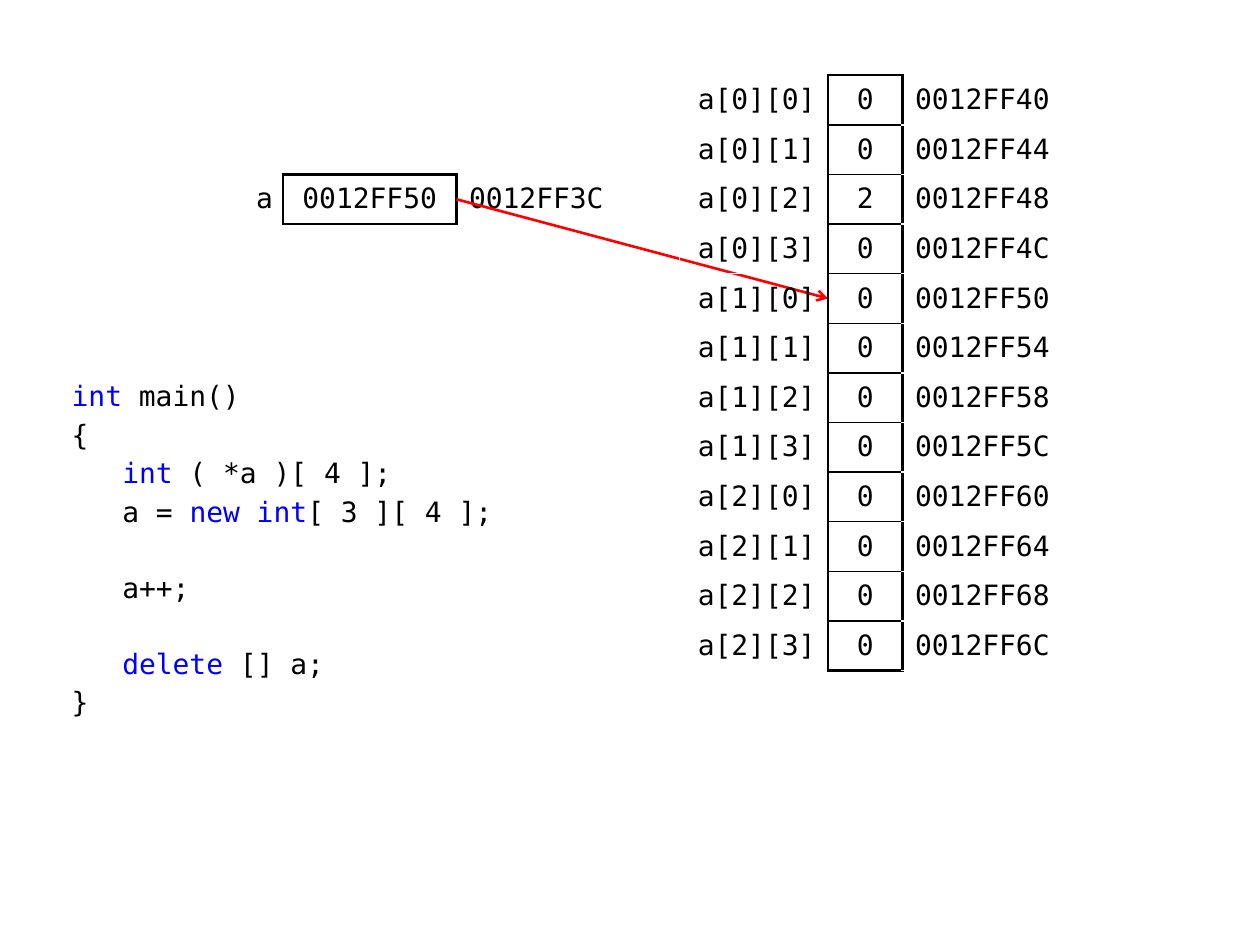
from dataclasses import dataclass

from lxml import etree
from pptx import Presentation
from pptx.dml.color import RGBColor
from pptx.enum.shapes import MSO_CONNECTOR
from pptx.enum.text import MSO_ANCHOR, PP_ALIGN
from pptx.oxml.ns import qn
from pptx.util import Pt

STRAIGHT = MSO_CONNECTOR.STRAIGHT
MIDDLE = MSO_ANCHOR.MIDDLE
LEFT, CENTER, RIGHT = PP_ALIGN.LEFT, PP_ALIGN.CENTER, PP_ALIGN.RIGHT


@dataclass(frozen=True)
class Theme:
    font: str = "DejaVu Sans Mono"
    size: float = 16
    text: str = "000000"
    keyword: str = "0000FF"
    arrow: str = "FF0000"
    outer: float = 1.5
    inner: float = 1


@dataclass(frozen=True)
class MemoryCell:
    label: str
    value: str
    address: str


@dataclass(frozen=True)
class MemoryTable:
    left: float
    top: float
    widths: tuple[float, float, float]
    label_inset: float
    cells: list[MemoryCell]

    def row_middle(self, row: int) -> float:
        return self.top + (row + 0.5) * ROW


@dataclass(frozen=True)
class CodeLine:
    tokens: list[tuple[str, bool]]  # text, is it a keyword
    indented: bool = False
    after_gap: bool = False


THEME = Theme()
ROW = 28.35
ADDRESS_WIDTH = 99.2
LINE_SPACE = 2.8
BLANK_LINE = 21.4
INDENT = 28.9  # three characters

ARRAY = MemoryTable(388.2, 43, (85, 42.55, ADDRESS_WIDTH), 7.2, [
    MemoryCell(f"a[{i // 4}][{i % 4}]", "2" if i == 2 else "0",
               f"{0x12FF40 + 4 * i:08X}")
    for i in range(12)
])
POINTER = MemoryTable(133.3, ARRAY.top + 2 * ROW,
                      (ROW, ADDRESS_WIDTH, ADDRESS_WIDTH), 5.76,
                      [MemoryCell("a", "0012FF50", "0012FF3C")])
TARGET_ROW = 4

CODE = [
    CodeLine([("int", True), (" main()", False)]),
    CodeLine([("{", False)]),
    CodeLine([("int", True), (" ( *a )[ 4 ];", False)], indented=True),
    CodeLine([("a = ", False), ("new int", True), ("[ 3 ][ 4 ];", False)],
             indented=True),
    CodeLine([("a++;", False)], indented=True, after_gap=True),
    CodeLine([("delete", True), (" [] a;", False)], indented=True,
             after_gap=True),
    CodeLine([("}", False)]),
]


def style_run(r, color: str = THEME.text) -> None:
    r.font.name = THEME.font
    r.font.size = Pt(THEME.size)
    r.font.color.rgb = RGBColor.from_string(color)


def set_borders(cell, **widths: float) -> None:
    """Draw the given sides (L, R, T, B), each with its width in points."""
    tc_pr = cell._tc.get_or_add_tcPr()
    sides = [side for side in "LRTB" if side in widths]
    for i, side in enumerate(sides):
        ln = etree.Element(qn(f"a:ln{side}"), w=str(Pt(widths[side])))
        fill = etree.SubElement(ln, qn("a:solidFill"))
        etree.SubElement(fill, qn("a:srgbClr"), val=THEME.text)
        tc_pr.insert(i, ln)


def add_memory(s, memory: MemoryTable) -> None:
    count = len(memory.cells)
    frame = s.shapes.add_table(count, 3, Pt(memory.left), Pt(memory.top),
                               Pt(sum(memory.widths)), Pt(count * ROW))
    table = frame.table
    table.first_row = table.horz_banding = False
    for column, width in zip(table.columns, memory.widths):
        column.width = Pt(width)
    for i, entry in enumerate(memory.cells):
        table.rows[i].height = Pt(ROW)
        columns = (
            (entry.label, RIGHT, 7.2, memory.label_inset, {"R": THEME.outer}),
            (entry.value, CENTER, 5.76, 5.76, {
                "L": THEME.outer,
                "R": THEME.outer,
                "T": THEME.outer if i == 0 else THEME.inner,
                "B": THEME.outer if i == count - 1 else THEME.inner,
            }),
            (entry.address, LEFT, 7.2, 5.76, {"L": THEME.outer}),
        )
        for j, (text, align, left, right, borders) in enumerate(columns):
            cell = table.cell(i, j)
            cell.fill.background()
            cell.vertical_anchor = MIDDLE
            cell.margin_left, cell.margin_right = Pt(left), Pt(right)
            cell.margin_top = cell.margin_bottom = Pt(2.88)
            cell.text_frame.text = text
            p = cell.text_frame.paragraphs[0]
            p.alignment = align
            style_run(p.runs[0])
            set_borders(cell, **borders)


def add_pointer_arrow(s) -> None:
    line = s.shapes.add_connector(
        STRAIGHT,
        Pt(POINTER.left + sum(POINTER.widths[:2])), Pt(POINTER.row_middle(0)),
        Pt(ARRAY.left + ARRAY.widths[0]), Pt(ARRAY.row_middle(TARGET_ROW)))
    line.line.color.rgb = RGBColor.from_string(THEME.arrow)
    line.line.width = Pt(THEME.outer)
    sp_pr = line._element.spPr
    etree.SubElement(sp_pr.find(qn("a:ln")), qn("a:tailEnd"), type="arrow")
    etree.SubElement(sp_pr, qn("a:effectLst"))


def add_code(s) -> None:
    sp = s.shapes.add_textbox(Pt(33.9), Pt(213), Pt(283.7), Pt(255))
    tf = sp.text_frame
    tf.word_wrap = True
    for i, line in enumerate(CODE):
        p = tf.add_paragraph() if i else tf.paragraphs[0]
        p.space_before = Pt(LINE_SPACE + BLANK_LINE * line.after_gap)
        if line.indented:
            p._p.get_or_add_pPr().set("marL", str(Pt(INDENT)))
        for text, is_keyword in line.tokens:
            r = p.add_run()
            r.text = text
            style_run(r, THEME.keyword if is_keyword else THEME.text)


def main() -> None:
    prs = Presentation()
    prs.slide_width, prs.slide_height = Pt(720), Pt(540)
    s = prs.slides.add_slide(prs.slide_layouts[6])
    add_code(s)
    add_memory(s, POINTER)
    add_pointer_arrow(s)
    add_memory(s, ARRAY)
    prs.save("out.pptx")


if __name__ == "__main__":
    main()
